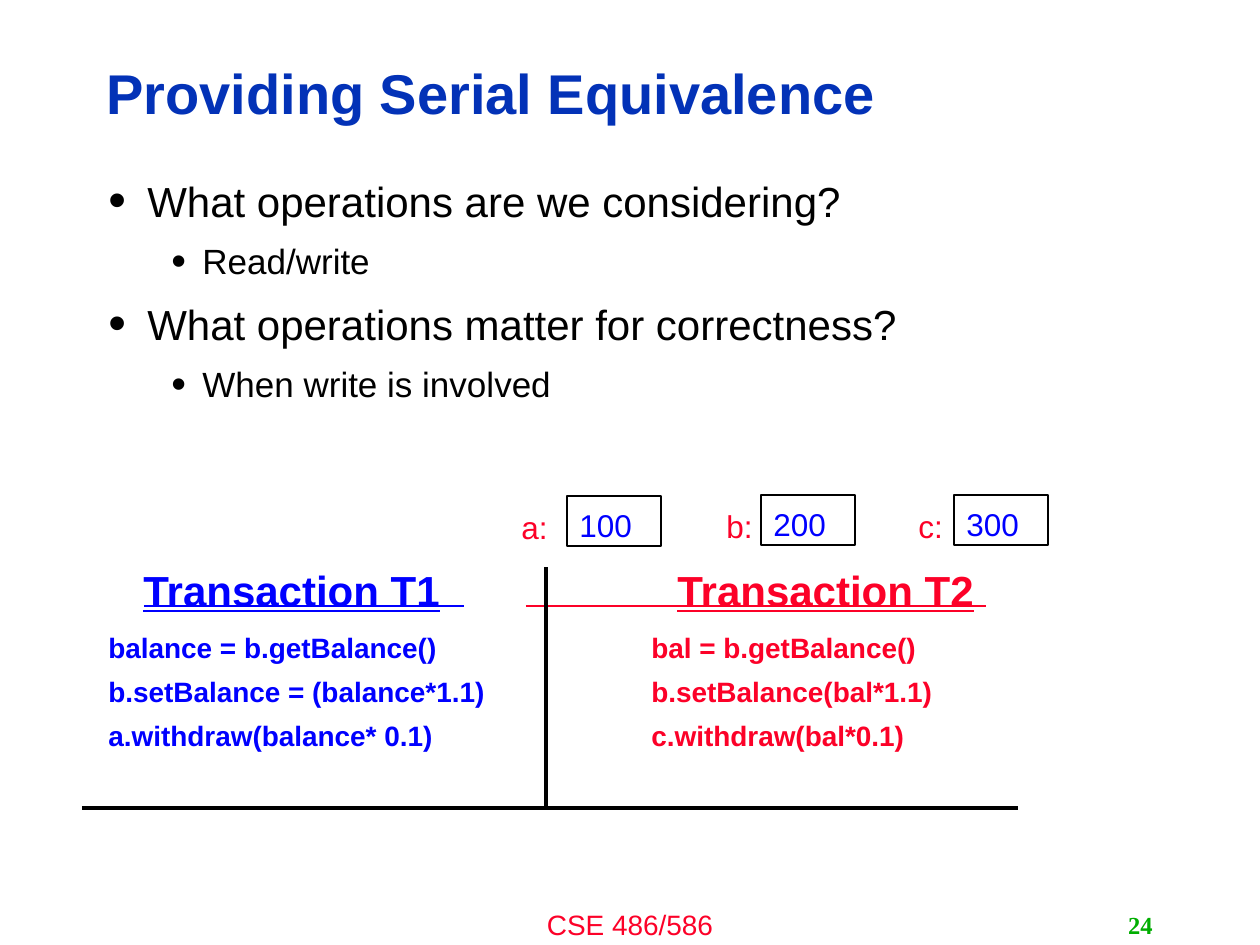
from lxml import etree
from pptx import Presentation
from pptx import util as u
from pptx.dml.color import RGBColor
from pptx.enum import shapes, text
from pptx.oxml.ns import qn

SCALE = 914400 / 126
BLACK, BLUE, RED = "000000", "0000FF", "FC0128"


def px(length):
    return u.Emu(round(length * SCALE))


def color(value):
    return RGBColor.from_string(value)


def add_run(paragraph, words, size, ink, bold=False, underline=False, face="Arial"):
    run = paragraph.add_run()
    run.text = words
    font = run.font
    font.name, font.size, font.bold = face, u.Pt(size), bold
    font.underline = underline
    font.color.rgb = color(ink)


def add_label(slide, box, lines, size, ink, align=text.PP_ALIGN.LEFT,
              anchor=text.MSO_ANCHOR.TOP, gap=0, **style):
    label = slide.shapes.add_textbox(*map(px, box))
    frame = label.text_frame
    frame.word_wrap = True
    frame.vertical_anchor = anchor
    for index, line in enumerate(lines):
        paragraph = frame.paragraphs[0] if index == 0 else frame.add_paragraph()
        paragraph.alignment = align
        if index:
            paragraph.space_before = u.Pt(gap)
        add_run(paragraph, line, size, ink, **style)
    return label


def add_bullets(slide, box, items):
    frame = slide.shapes.add_textbox(*map(px, box)).text_frame
    frame.word_wrap = True
    for index, (level, words) in enumerate(items):
        paragraph = frame.paragraphs[0] if index == 0 else frame.add_paragraph()
        size, margin, hanging, gap = ((24, 39, 39, 9.5), (20, 94, 31, 8))[level]
        paragraph.level = level
        properties = paragraph._p.get_or_add_pPr()
        properties.set("marL", str(px(margin)))
        properties.set("indent", str(-px(hanging)))
        if index:
            paragraph.space_before = u.Pt(gap)
        etree.SubElement(properties, qn("a:buSzPct"), val="120000")
        etree.SubElement(properties, qn("a:buFont"), typeface="Arial")
        etree.SubElement(properties, qn("a:buChar"), char="•")
        add_run(paragraph, words, size, BLACK)


def add_line(slide, start, end, ink=BLACK, width=2.25):
    line = slide.shapes.add_connector(
        shapes.MSO_CONNECTOR.STRAIGHT, *map(px, (*start, *end)))
    line.line.color.rgb = color(ink)
    line.line.width = u.Pt(width)
    etree.SubElement(line._element.spPr, qn("a:effectLst"))


def add_account(slide, name, value, name_left, value_left, top):
    balance = slide.shapes.add_shape(
        shapes.MSO_SHAPE.RECTANGLE, *map(px, (value_left, top, 94, 50)))
    balance.shadow.inherit = False
    balance.fill.background()
    balance.line.color.rgb = color(BLACK)
    balance.line.width = u.Pt(0.75)
    frame = balance.text_frame
    frame.vertical_anchor = text.MSO_ANCHOR.TOP
    frame.margin_top, frame.margin_bottom = px(10), px(0)
    paragraph = frame.paragraphs[0]
    paragraph.alignment = text.PP_ALIGN.LEFT
    add_run(paragraph, value, 18, BLUE)
    add_label(slide, (name_left, top + 6, 70, 47), [name], 18, RED)


def add_transaction(slide, heading, heading_left, rule, code, code_left, ink):
    add_label(slide, (heading_left - 13, 558, 340, 60), [heading], 24, ink,
              bold=True, underline=True)
    add_line(slide, (rule[0], 606), (rule[1], 606), ink, 1)
    add_label(slide, (code_left - 13, 624, 430, 136), code, 16, ink,
              gap=6, bold=True)


def main():
    deck = Presentation()
    deck.slide_width, deck.slide_height = px(1260), px(945)
    slide = deck.slides.add_slide(deck.slide_layouts[6])

    title = add_label(slide, (94, 45, 1005, 102), ["Providing Serial Equivalence"],
                      32, "0332B7", anchor=text.MSO_ANCHOR.MIDDLE, bold=True)
    title.text_frame.paragraphs[0].line_spacing = 0.9

    add_bullets(slide, (96, 169, 1058, 240), [
        (0, "What operations are we considering?"),
        (1, "Read/write"),
        (0, "What operations matter for correctness?"),
        (1, "When write is involved"),
    ])

    for account in (("a:", "100", 509, 567, 496),
                    ("b:", "200", 714, 761, 495),
                    ("c:", "300", 906, 954, 495)):
        add_account(slide, *account)

    add_transaction(slide, "Transaction T1", 144, (144, 464), [
        "balance = b.getBalance()",
        "b.setBalance = (balance*1.1)",
        "a.withdraw(balance* 0.1)",
    ], 109, BLUE)
    add_transaction(slide, "Transaction T2", 678, (526, 986), [
        "bal = b.getBalance()",
        "b.setBalance(bal*1.1)",
        "c.withdraw(bal*0.1)",
    ], 652, RED)

    add_line(slide, (546, 567), (546, 808))
    add_line(slide, (82, 808), (1018, 808))

    add_label(slide, (420, 901, 420, 44), ["CSE 486/586"], 16, RED,
              align=text.PP_ALIGN.CENTER)
    add_label(slide, (903, 905, 262, 40), ["24"], 14, "00AE00",
              align=text.PP_ALIGN.RIGHT, anchor=text.MSO_ANCHOR.MIDDLE,
              bold=True, face="Times New Roman")
    deck.save("out.pptx")


if __name__ == "__main__":
    main()
